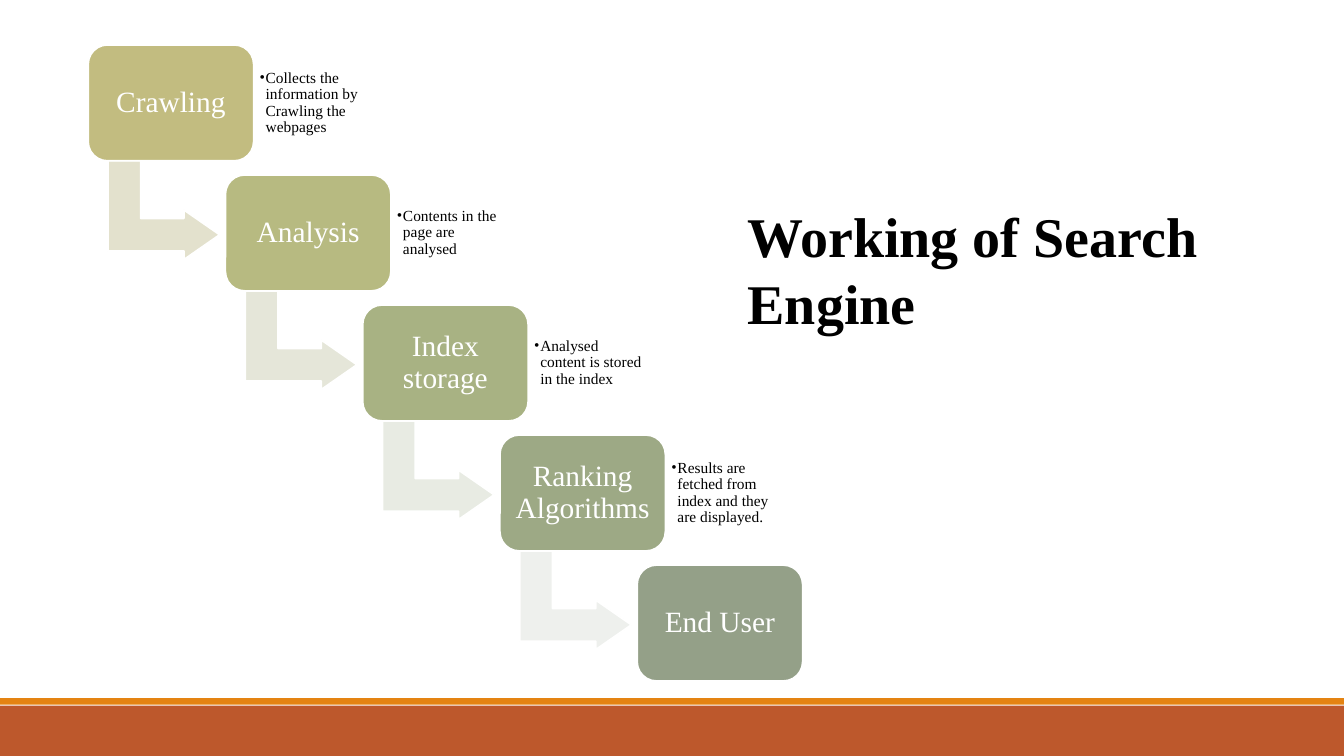
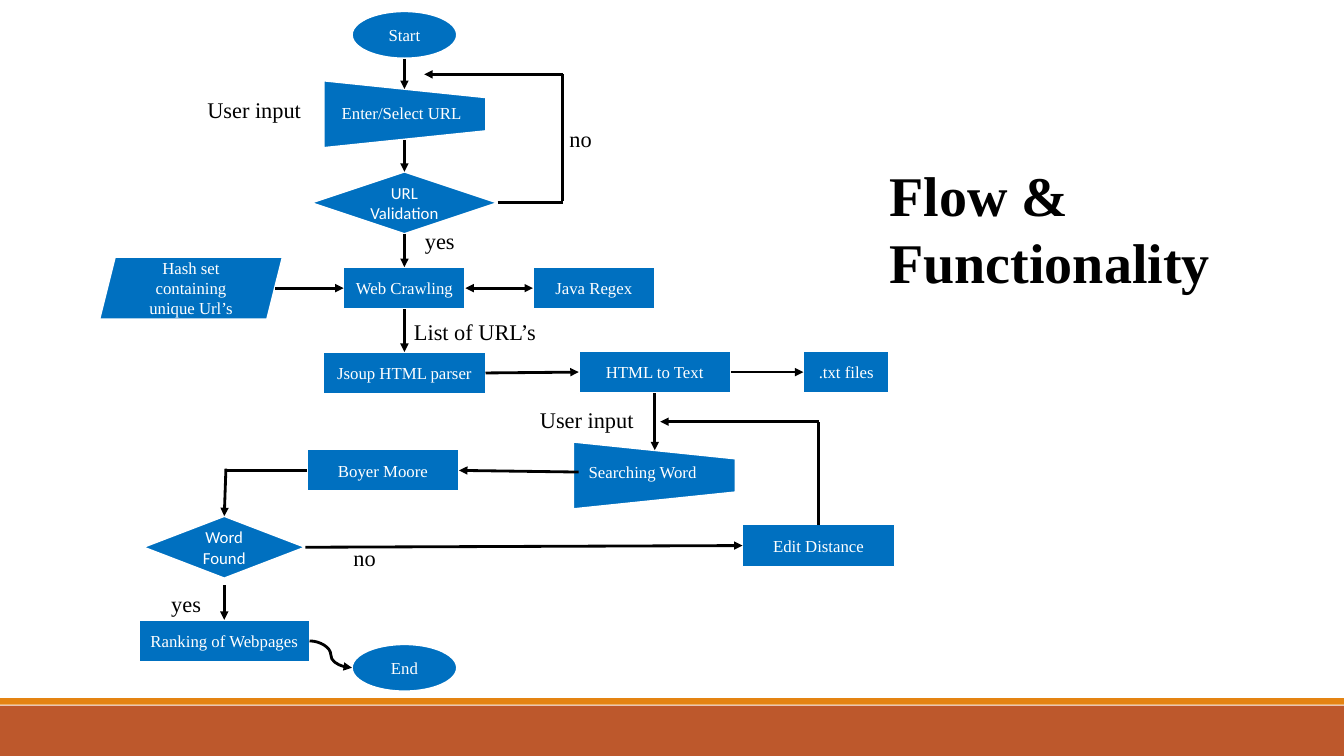
import dataclasses

import lxml.etree
import pptx
import pptx.dml.color
import pptx.enum.shapes
import pptx.enum.text
import pptx.oxml.ns
import pptx.util

SHAPE = pptx.enum.shapes.MSO_SHAPE
LINK = pptx.enum.shapes.MSO_CONNECTOR
ALIGN = pptx.enum.text.PP_ALIGN
ANCHOR = pptx.enum.text.MSO_ANCHOR
qn = pptx.oxml.ns.qn

COLUMNS, ROWS = 160, 90
CELL = pptx.util.Inches(7.5) / ROWS
TITLE_ROWS = 17.4
TOP, LEFT, BOTTOM, RIGHT = range(4)


@dataclasses.dataclass(frozen=True)
class Theme:
    serif: str = "Times New Roman"
    sans: str = "Calibri"
    ink: str = "000000"
    paper: str = "FFFFFF"
    band: str = "BD582C"
    stripe: str = "E48312"
    node: str = "0070C0"
    title_size: int = 40
    step_size: int = 21
    label_size: int = 16
    node_size: int = 12
    note_size: int = 11
    outline: float = 1.25
    link: float = 2
    leading: float = 1.0
    tight: float = 0.9


THEME = Theme()

# name, box colour, colour of the arrow to the next step, note
STEPS = [
    ("Crawling", "C2BC80", "E3E1CD", "Collects the information by Crawling the webpages"),
    ("Analysis", "B7BA81", "E5E6D9", "Contents in the page are analysed"),
    ("Index storage", "A8B283", "E8EBE3", "Analysed content is stored in the index"),
    ("Ranking Algorithms", "9DA985", "EEF0ED",
     "Results are fetched from index and they are displayed."),
    ("End User", "94A088", None, None),
]

# key: preset, centre column, centre row, columns, rows, text
NODES = {
    "start": (SHAPE.OVAL, 48.15, 4.15, 12.5, 5.6, "Start"),
    "validation": (SHAPE.DIAMOND, 48.15, 24.15, 22.2, 7.4, "URL Validation"),
    "crawling": (SHAPE.RECTANGLE, 48.15, 34.3, 14.5, 5, "Web Crawling"),
    "regex": (SHAPE.RECTANGLE, 70.7, 34.3, 14.5, 5, "Java Regex"),
    "hash": (SHAPE.PARALLELOGRAM, 22.75, 34.3, 21.8, 7.4, "Hash set containing unique Url’s"),
    "parser": (SHAPE.RECTANGLE, 48.15, 44.4, 19.3, 5, "Jsoup HTML parser"),
    "to_text": (SHAPE.RECTANGLE, 77.95, 44.3, 18.1, 5, "HTML to Text"),
    "files": (SHAPE.RECTANGLE, 100.75, 44.3, 10.2, 5, ".txt files"),
    "boyer": (SHAPE.RECTANGLE, 45.6, 56, 18.1, 5, "Boyer Moore"),
    "found": (SHAPE.DIAMOND, 26.7, 65.15, 19.3, 7.4, "Word Found"),
    "ranking": (SHAPE.RECTANGLE, 26.7, 76.3, 20.3, 5, "Ranking of Webpages"),
    "edit": (SHAPE.RECTANGLE, 97.45, 64.95, 18.1, 5, "Edit Distance"),
    "end": (SHAPE.OVAL, 48.15, 79.5, 12.5, 5.6, "End"),
}

# centre column, centre row, text, column and row of the text
INPUTS = [
    (48.2, 13.6, "Enter/Select URL", 39.5, 11.6),
    (77.9, 56.6, "Searching Word", 68.9, 54.4),
]

# Each end is a (node, side) pair or a (column, row) point; then the arrowheads.
LINKS = [
    ((48.15, 7), (48.15, 10.6), "tail"),
    ((48.15, 16.7), ("validation", TOP), "tail"),
    (("validation", BOTTOM), ("crawling", TOP), "tail"),
    (("crawling", BOTTOM), ("parser", TOP), "tail"),
    (("validation", RIGHT), (67, 24.15), ""),
    ((67, 23.9), (67, 8.8), ""),
    ((67, 8.85), (50.5, 8.85), "tail"),
    ((32.8, 34.3), ("crawling", LEFT), "tail"),
    (("crawling", RIGHT), ("regex", LEFT), "head tail"),
    (("parser", RIGHT), ("to_text", LEFT), "tail"),
    (("to_text", RIGHT), ("files", LEFT), "tail"),
    (("to_text", BOTTOM), (77.95, 53.6), "tail"),
    ((68.9, 56.2), ("boyer", RIGHT), "tail"),
    (("boyer", LEFT), (27, 56), ""),
    ((26.9, 55.8), ("found", TOP), "tail"),
    ((26.7, 69.7), ("ranking", TOP), "tail"),
    (("found", RIGHT), ("edit", LEFT), "tail"),
    (("edit", TOP), (97.45, 50.2), ""),
    ((97.45, 50.2), (78.6, 50.2), "tail"),
]

LABELS = [
    ("no", 66.6, 14.3), ("yes", 49.4, 26.5), ("User input", 23.5, 10.8),
    ("List of URL’s", 48.1, 37.3), ("User input", 63.1, 47.8),
    ("yes", 19.2, 69.7), ("no", 40.9, 64.2),
]


def cells(*counts):
    """Turn counts of grid cells into lengths."""
    return [pptx.util.Emu(round(count * CELL)) for count in counts]


def rgb(value):
    return pptx.dml.color.RGBColor.from_string(value)


def write(box, text, size, color, font=THEME.serif, bold=False,
          align=ALIGN.LEFT, anchor=ANCHOR.MIDDLE, leading=THEME.leading,
          margin=None):
    frame = box.text_frame
    frame.word_wrap = True
    frame.vertical_anchor = anchor
    if margin is not None:
        frame.margin_left = frame.margin_right = pptx.util.Inches(margin)
        frame.margin_top = frame.margin_bottom = pptx.util.Inches(margin)
    para = frame.paragraphs[0]
    para.alignment = align
    para.line_spacing = leading
    span = para.add_run()
    span.text = text
    span.font.name = font
    span.font.size = pptx.util.Pt(size)
    span.font.bold = bold
    span.font.color.rgb = rgb(color)
    return para


def add_block(slide, preset, place, fill, outlined=True):
    shape = slide.shapes.add_shape(preset, *cells(*place))
    shape.shadow.inherit = False
    shape.fill.solid()
    shape.fill.fore_color.rgb = rgb(fill)
    if outlined:
        shape.line.color.rgb = rgb(THEME.paper)
        shape.line.width = pptx.util.Pt(THEME.outline)
    else:
        shape.line.fill.background()
    return shape


def add_label(slide, text, column, row, size, color):
    box = slide.shapes.add_textbox(*cells(column, row, 19.3, 4.4))
    write(box, text, size, color, anchor=ANCHOR.TOP)


def add_note(slide, text, place):
    """Add a small bulleted remark."""
    box = slide.shapes.add_textbox(*cells(*place))
    para = write(box, text, THEME.note_size, THEME.ink, leading=THEME.tight, margin=0.06)
    indent = pptx.util.Inches(0.06)
    properties = para._p.get_or_add_pPr()
    properties.set("marL", str(indent))
    properties.set("indent", str(-indent))
    lxml.etree.SubElement(properties, qn("a:buFont")).set("typeface", THEME.serif)
    lxml.etree.SubElement(properties, qn("a:buChar")).set("char", "•")


def add_link(slide, nodes, start, end, heads, kind=LINK.STRAIGHT):
    """Draw a connector, joined to a node at each end that names one."""
    start_joined, end_joined = (isinstance(stop[0], str) for stop in (start, end))
    begin_point = (0, 0) if start_joined else start
    end_point = (0, 0) if end_joined else end
    link = slide.shapes.add_connector(kind, *cells(*begin_point, *end_point))
    if start_joined:
        link.begin_connect(nodes[start[0]], start[1])
    if end_joined:
        link.end_connect(nodes[end[0]], end[1])
    link.line.color.rgb = rgb(THEME.ink)
    link.line.width = pptx.util.Pt(THEME.link)
    properties = link.element.spPr
    outline = properties.find(qn("a:ln"))
    for head in heads.split():
        lxml.etree.SubElement(outline, qn(f"a:{head}End")).set("type", "triangle")
    lxml.etree.SubElement(properties, qn("a:effectLst"))


def add_titled_slide(deck, title, column, row, columns):
    slide = deck.slides.add_slide(deck.slide_layouts.get_by_name("Title Only"))
    box = slide.shapes.title
    box.left, box.top, box.width, box.height = cells(column, row, columns, TITLE_ROWS)
    write(box, title, THEME.title_size, THEME.ink, bold=True)
    return slide


def move_bands_to_master(deck, slide):
    """Draw the bottom bands and hand them to the master, so that all slides share them."""
    for row, rows, color in ((84, 6, THEME.band), (83.1, 0.8, THEME.stripe)):
        band = add_block(slide, SHAPE.RECTANGLE, (0, row, COLUMNS, rows), color, outlined=False)
        deck.slide_master.shapes.element.append(band.element)


def draw_staircase(slide):
    for index, (name, fill, arrow_fill, note) in enumerate(STEPS):
        column, row = 10.5 + 16.34 * index, 5.35 + 15.48 * index
        if arrow_fill:
            arrow = add_block(slide, SHAPE.BENT_UP_ARROW,
                              (column + 3.1, row + 13, 11.8, 13.3), arrow_fill)
            arrow.rotation = 90
            for position, share in enumerate((0.33, 0.25, 0.36)):
                arrow.adjustments[position] = share
        box = add_block(slide, SHAPE.ROUNDED_RECTANGLE, (column, row, 19.7, 13.8), fill)
        write(box, name, THEME.step_size, THEME.paper, align=ALIGN.CENTER,
              leading=THEME.tight, margin=0.08)
        if note:
            add_note(slide, note, (column + 19.7, row + 1.3, 14.3, 11.2))


def draw_flowchart(slide):
    nodes = {}
    for key, (preset, column, row, columns, rows, text) in NODES.items():
        place = (column - columns / 2, row - rows / 2, columns, rows)
        nodes[key] = add_block(slide, preset, place, THEME.node)
        write(nodes[key], text, THEME.node_size, THEME.paper, align=ALIGN.CENTER,
              font=THEME.sans if preset == SHAPE.DIAMOND else THEME.serif)
    for column, row, text, text_column, text_row in INPUTS:
        place = (column - 4, row - 9.65, 8, 19.3)
        add_block(slide, SHAPE.TRAPEZOID, place, THEME.node).rotation = 90
        add_label(slide, text, text_column, text_row, THEME.node_size, THEME.paper)
    for start, end, heads in LINKS:
        add_link(slide, nodes, start, end, heads)
    add_link(slide, nodes, ("ranking", RIGHT), (41.9, 79.5), "tail", LINK.CURVE)
    for text, column, row in LABELS:
        add_label(slide, text, column, row, THEME.label_size, THEME.ink)


def main():
    deck = pptx.Presentation()
    deck.slide_width, deck.slide_height = cells(COLUMNS, ROWS)
    working = add_titled_slide(deck, "Working of Search Engine", 87.8, 23.3, 66)
    move_bands_to_master(deck, working)
    draw_staircase(working)
    flow = add_titled_slide(deck, "Flow & Functionality", 104.7, 18.4, 49.4)
    draw_flowchart(flow)
    deck.save("out.pptx")


if __name__ == "__main__":
    main()
